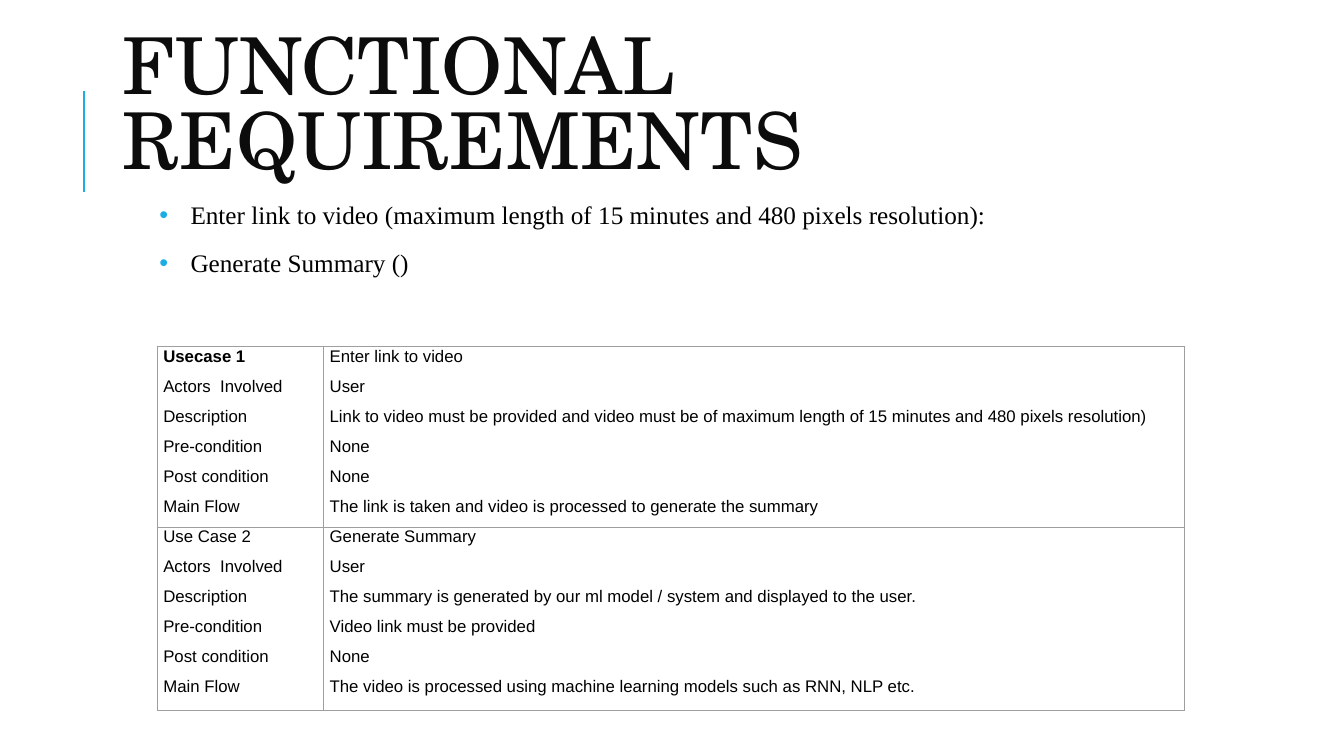
from lxml.etree import SubElement
from pptx import Presentation
from pptx.dml.color import RGBColor
from pptx.enum.shapes import MSO_CONNECTOR
from pptx.enum.text import MSO_ANCHOR, PP_ALIGN
from pptx.oxml.ns import qn
from pptx.util import Pt

EMU_PER_PX = 9144
WHITE = RGBColor(0xFF, 0xFF, 0xFF)
BLACK = RGBColor(0, 0, 0)
TITLE_COLOR = RGBColor(0x0C, 0x0C, 0x0C)
ACCENT = RGBColor(0x1C, 0xAD, 0xE4)
BORDER = RGBColor(0x9E, 0x9E, 0x9E)

REQUIREMENTS = [
    "Enter link to video (maximum length of 15 minutes and 480 pixels resolution):",
    "Generate Summary ()",
]
FIELDS = ["Actors  Involved", "Description", "Pre-condition", "Post condition", "Main Flow"]
USE_CASES = [
    ("Usecase 1", [
        "Enter link to video",
        "User",
        "Link to video must be provided and video must be of maximum length "
        "of 15 minutes and 480 pixels resolution)",
        "None",
        "None",
        "The link is taken and video is processed to generate the summary",
    ]),
    ("Use Case 2", [
        "Generate Summary",
        "User",
        "The summary is generated by our ml model / system and displayed to the user.",
        "Video link must be provided",
        "None",
        "The video is processed using machine learning models such as RNN, NLP etc.",
    ]),
]
COLUMN_WIDTHS = [165, 854]
ROW_HEIGHTS = [179, 182]


def px(length):
    return length * EMU_PER_PX


def format_runs(paragraph, font_name, size, color):
    for run in paragraph.runs:
        run.font.name = font_name
        run.font.size = Pt(size)
        run.font.color.rgb = color


def add_text_box(slide, left, top, width, height, text, margins):
    text_box = slide.shapes.add_textbox(px(left), px(top), px(width), px(height))
    text_frame = text_box.text_frame
    text_frame.word_wrap = True
    (text_frame.margin_left, text_frame.margin_top,
     text_frame.margin_right, text_frame.margin_bottom) = map(px, margins)
    text_frame.text = text
    return text_frame


def add_title(slide):
    text_frame = add_text_box(slide, 112, 64, 1063, 164, "FUNCTIONAL REQUIREMENTS", (10, 5, 10, 80))
    text_frame.vertical_anchor = MSO_ANCHOR.MIDDLE
    paragraph = text_frame.paragraphs[0]
    paragraph.line_spacing = 0.8
    format_runs(paragraph, "TeX Gyre Schola", 56, TITLE_COLOR)


def add_accent_line(slide):
    line = slide.shapes.add_connector(MSO_CONNECTOR.STRAIGHT, px(83), px(190), px(83), px(90))
    line.line.color.rgb = ACCENT
    line.line.width = Pt(1.5)
    SubElement(line._element.spPr, qn("a:effectLst"))


def set_bullet(paragraph, left, hanging):
    properties = paragraph._p.get_or_add_pPr()
    properties.set("marL", str(px(left)))
    properties.set("indent", str(-px(hanging)))
    bullet_color = SubElement(properties, qn("a:buClr"))
    SubElement(bullet_color, qn("a:srgbClr"), val=str(ACCENT))
    SubElement(properties, qn("a:buFont"), typeface="Arial")
    SubElement(properties, qn("a:buChar"), char="•")


def add_requirements(slide):
    text_frame = add_text_box(slide, 103, 178, 1082, 440, "\n".join(REQUIREMENTS), (5, 5, 5, 5))
    for paragraph in text_frame.paragraphs:
        paragraph.alignment = PP_ALIGN.JUSTIFY
        paragraph.line_spacing = 1.5
        paragraph.space_before = Pt(2)
        set_bullet(paragraph, 81, 31)
        format_runs(paragraph, "Times New Roman", 18, BLACK)


def set_borders(cell):
    properties = cell._tc.get_or_add_tcPr()
    for index, side in enumerate(("lnL", "lnR", "lnT", "lnB")):
        border = properties.makeelement(qn(f"a:{side}"), {"w": str(Pt(0.75))})
        fill = SubElement(border, qn("a:solidFill"))
        SubElement(fill, qn("a:srgbClr"), val=str(BORDER))
        properties.insert(index, border)


def fill_cell(cell, lines):
    cell.fill.solid()
    cell.fill.fore_color.rgb = WHITE
    cell.margin_left = cell.margin_right = px(6)
    cell.margin_top = cell.margin_bottom = 0
    cell.text_frame.text = "\n".join(lines)
    for paragraph in cell.text_frame.paragraphs:
        paragraph.alignment = PP_ALIGN.JUSTIFY
        paragraph.space_after = Pt(8)
        format_runs(paragraph, "Arial", 12, BLACK)
    set_borders(cell)


def add_use_case_table(slide):
    frame = slide.shapes.add_table(
        len(USE_CASES), len(COLUMN_WIDTHS), px(156), px(344),
        px(sum(COLUMN_WIDTHS)), px(sum(ROW_HEIGHTS)),
    )
    table = frame.table
    table.first_row = False
    table.horz_banding = False
    for column, width in zip(table.columns, COLUMN_WIDTHS):
        column.width = px(width)
    for row, height, (name, details) in zip(table.rows, ROW_HEIGHTS, USE_CASES):
        row.height = px(height)
        fill_cell(row.cells[0], [name, *FIELDS])
        fill_cell(row.cells[1], details)
    table.cell(0, 0).text_frame.paragraphs[0].runs[0].font.bold = True


def main():
    presentation = Presentation()
    presentation.slide_width = px(1333)
    presentation.slide_height = px(750)
    slide = presentation.slides.add_slide(presentation.slide_layouts[6])
    add_accent_line(slide)
    add_title(slide)
    add_requirements(slide)
    add_use_case_table(slide)
    presentation.save("out.pptx")


if __name__ == "__main__":
    main()
